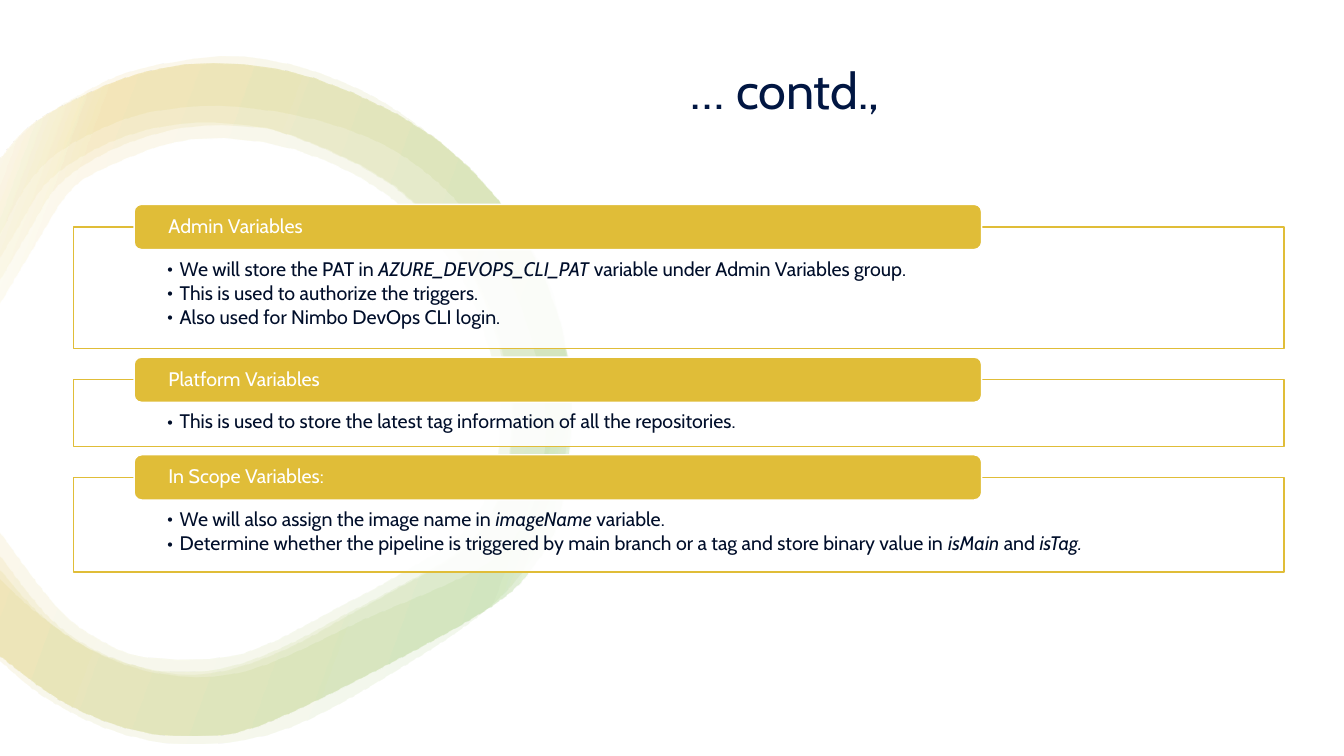
from pptx import Presentation
from pptx import util as u
from pptx.dml.color import RGBColor
from pptx.enum import shapes, text
from pptx.oxml import parse_xml
from pptx.oxml.ns import nsdecls, qn
from lxml import etree

# Content: text between asterisks is italic
TITLE = "… contd.,"
GROUPS = [  # heading, box height in cm, bullets
    ("Admin Variables", 3.07, [
        "We will store the PAT in *AZURE_DEVOPS_CLI_PAT *variable under Admin Variables group.",
        "This is used to authorize the triggers.",
        "Also used for Nimbo DevOps CLI login.",
    ]),
    ("Platform Variables", 1.68, [
        "This is used to store the latest tag information of all the repositories.",
    ]),
    ("In Scope Variables:", 2.39, [
        "We will also assign the image name in *imageName *variable.",
        "Determine whether the pipeline is triggered by main branch or a tag and store "
        "binary value in *isMain* and *isTag.*",
    ]),
]

# Ring edges, in grid units of 2.54 cm, each running from slide edge to slide edge
WIDE_OUTER = [
    (0, 1.57), (0.33, 1.23), (0.82, 0.92), (1.35, 0.69), (2.18, 0.56), (2.84, 0.63),
    (3.46, 0.84), (3.97, 1.12), (4.55, 1.57), (4.99, 2.04), (5.26, 2.45), (5.5, 2.96),
    (5.65, 3.83), (5.61, 4.46), (5.48, 5.08), (5.18, 5.67), (4.7, 6.14), (3.92, 6.65),
    (3.08, 7.12), (2.43, 7.33), (1.71, 7.37), (1.03, 7.21), (0.41, 6.89), (0, 6.55)]
WIDE_INNER = [
    (0, 5.74), (0.31, 6.03), (0.76, 6.36), (1.25, 6.59), (1.77, 6.7), (2.29, 6.68),
    (2.82, 6.51), (3.62, 6.13), (4.47, 5.77), (4.96, 5.48), (5.28, 5.02), (5.4, 4.44),
    (5.38, 3.85), (5.2, 3.14), (4.97, 2.6), (4.73, 2.23), (4.33, 1.8), (3.85, 1.46),
    (3.31, 1.24), (2.75, 1.11), (2.17, 1.05), (1.61, 1.09), (1.13, 1.22), (0.56, 1.52),
    (0.24, 1.87), (0, 2.32)]
OUTER = [
    (0, 1.58), (0.25, 1.29), (0.62, 1.05), (1.34, 0.74), (2.11, 0.63), (3.1, 0.77),
    (4.33, 1.38), (5.2, 2.37), (5.65, 3.65), (5.56, 5.04), (5.28, 5.62), (4.86, 6.02),
    (3.76, 6.63), (2.59, 7.19), (1.95, 7.3), (1.29, 7.23), (0.61, 6.95), (0, 6.5)]
INNERS = [
    [(0, 5.64), (0.37, 6.06), (0.83, 6.4), (1.38, 6.61), (1.87, 6.66), (2.35, 6.59),
     (2.9, 6.37), (3.42, 6.09), (3.88, 5.85), (4.62, 5.41), (4.96, 4.88), (5.06, 4.3),
     (5.02, 3.73), (4.65, 2.67), (3.89, 1.84), (2.87, 1.34), (2.3, 1.23), (1.78, 1.23),
     (1.28, 1.34), (0.82, 1.55), (0.45, 1.83), (0.2, 2.23), (0, 2.57)],
    [(0, 5.27), (0.55, 6), (0.97, 6.33), (1.48, 6.52), (2.41, 6.48), (3.39, 6),
     (3.86, 5.75), (4.55, 5.32), (4.85, 4.85), (4.95, 4.3), (4.92, 3.75), (4.57, 2.74),
     (3.86, 1.95), (2.91, 1.48), (1.89, 1.38), (0.99, 1.69), (0.66, 1.94), (0.42, 2.32),
     (0, 3.02)],
    [(0, 5.5), (0.46, 6.09), (0.9, 6.42), (1.45, 6.63), (1.93, 6.69), (2.41, 6.6),
     (2.95, 6.38), (3.45, 6.1), (3.91, 5.85), (4.63, 5.42), (4.97, 4.88), (5.07, 4.3),
     (5.04, 3.73), (4.67, 2.68), (3.92, 1.85), (2.94, 1.36), (2.38, 1.25), (1.87, 1.26),
     (1.38, 1.38), (0.93, 1.58), (0.56, 1.86), (0.31, 2.26), (0, 2.79)],
]
BANDS = [(WIDE_OUTER, WIDE_INNER)] + [(OUTER, inner) for inner in INNERS]

# Style
FONT = "Cabin"
NAVY = RGBColor(0x01, 0x16, 0x42)
INK = RGBColor(0x00, 0x0E, 0x2A)
GOLD = RGBColor(0xE0, 0xBD, 0x38)
GREEN = RGBColor(0x81, 0xBE, 0x4F)
WHITE = RGBColor(0xFF, 0xFF, 0xFF)
RING_STOPS = [(2, WHITE), (16, GREEN), (85, GOLD), (100, WHITE)]

# Layout in cm
BOX_LEFT, BOX_TOP, BOX_WIDTH, BOX_GAP = 1.85, 5.72, 30.51, 0.78
TAB_LEFT, TAB_WIDTH, TAB_HEIGHT, TAB_LIFT = 3.38, 21.36, 1.14, 0.57
GRID_UNIT = u.Cm(2.54)


def smooth(points, steps=3):
    """Points, in EMU, of a Catmull-Rom curve through the given grid points."""
    padded = [points[0]] + points + [points[-1]]
    curve = []
    for a, b, c, d in zip(padded, padded[1:], padded[2:], padded[3:]):
        for t in (i / steps for i in range(steps)):
            curve.append(tuple(
                0.5 * (2 * q + (r - p) * t + (2 * p - 5 * q + 4 * r - s) * t ** 2
                       + (3 * q - p - 3 * r + s) * t ** 3)
                for p, q, r, s in zip(a, b, c, d)))
    return [(max(x, 0) * GRID_UNIT, y * GRID_UNIT) for x, y in curve + [points[-1]]]


def add_band(slide, outer, inner):
    outline = smooth(outer) + smooth(inner)
    builder = slide.shapes.build_freeform(*outline[0])
    builder.add_line_segments(outline[1:], close=True)
    sp = builder.convert_to_shape()
    sp.shadow.inherit = False
    sp.line.fill.background()
    sp.fill.background()
    stops = "".join(
        f'<a:gs pos="{pos * 1000}"><a:srgbClr val="{color}"><a:alpha val="10000"/></a:srgbClr></a:gs>'
        for pos, color in RING_STOPS)
    gradient = parse_xml(f'<a:gradFill {nsdecls("a")} rotWithShape="1"><a:gsLst>{stops}</a:gsLst>'
                         '<a:lin ang="12000000" scaled="0"/></a:gradFill>')
    props = sp._element.spPr
    props.replace(props.find(qn("a:noFill")), gradient)


def add_panel(slide, kind, place, fill, line, insets, anchor):
    sp = slide.shapes.add_shape(kind, *map(u.Cm, place))
    sp.shadow.inherit = False
    sp.fill.solid()
    sp.fill.fore_color.rgb = fill
    sp.line.color.rgb = line
    sp.line.width = u.Pt(1)
    tf = sp.text_frame
    tf.word_wrap = True
    tf.vertical_anchor = anchor
    tf.margin_left, tf.margin_top, tf.margin_right, tf.margin_bottom = map(u.Cm, insets)
    return sp


def format_paragraph(p, size, color):
    p.alignment = text.PP_ALIGN.LEFT
    p.line_spacing = 0.9
    for r in p.runs:
        r.font.name = FONT
        r.font.size = u.Pt(size)
        r.font.color.rgb = color


def add_bullet(p, marked):
    props = p._p.get_or_add_pPr()
    props.set("marL", str(u.Cm(0.32)))
    props.set("indent", str(-u.Cm(0.32)))
    p.space_after = u.Pt(2.1)
    etree.SubElement(props, qn("a:buFont")).set("typeface", FONT)
    etree.SubElement(props, qn("a:buChar")).set("char", "•")
    for i, part in enumerate(marked.split("*")):
        if part:
            r = p.add_run()
            r.text = part
            r.font.italic = i % 2 == 1
    format_paragraph(p, 14, INK)


def main():
    prs = Presentation()
    prs.slide_width, prs.slide_height = u.Cm(33.87), u.Cm(19.05)
    slide = prs.slides.add_slide(prs.slide_layouts[5])

    # Ring
    for outer, inner in BANDS:
        add_band(slide, outer, inner)

    # Title
    title = slide.shapes.title
    title.left, title.top, title.width, title.height = map(u.Cm, (17.15, 1.42, 10.72, 1.88))
    tf = title.text_frame
    tf.text = TITLE
    tf.auto_size = text.MSO_AUTO_SIZE.NONE
    tf.vertical_anchor = text.MSO_ANCHOR.MIDDLE
    format_paragraph(tf.paragraphs[0], 36, NAVY)

    # Boxes, each with a heading tab over its top edge
    top = BOX_TOP
    for heading, height, bullets in GROUPS:
        box = add_panel(slide, shapes.MSO_SHAPE.RECTANGLE, (BOX_LEFT, top, BOX_WIDTH, height),
                        WHITE, GOLD, (2.36, 0.81, 2.36, 0.28), text.MSO_ANCHOR.TOP)
        color = box._element.spPr.find(qn("a:solidFill"))[0]
        etree.SubElement(color, qn("a:alpha")).set("val", "90000")
        tf = box.text_frame
        for i, bullet in enumerate(bullets):
            add_bullet(tf.add_paragraph() if i else tf.paragraphs[0], bullet)

        tab = add_panel(slide, shapes.MSO_SHAPE.ROUNDED_RECTANGLE,
                        (TAB_LEFT, top - TAB_LIFT, TAB_WIDTH, TAB_HEIGHT),
                        GOLD, WHITE, (0.81, 0, 0.81, 0), text.MSO_ANCHOR.MIDDLE)
        tab.text_frame.text = heading
        format_paragraph(tab.text_frame.paragraphs[0], 14, WHITE)
        top += height + BOX_GAP

    prs.save("out.pptx")


if __name__ == "__main__":
    main()
